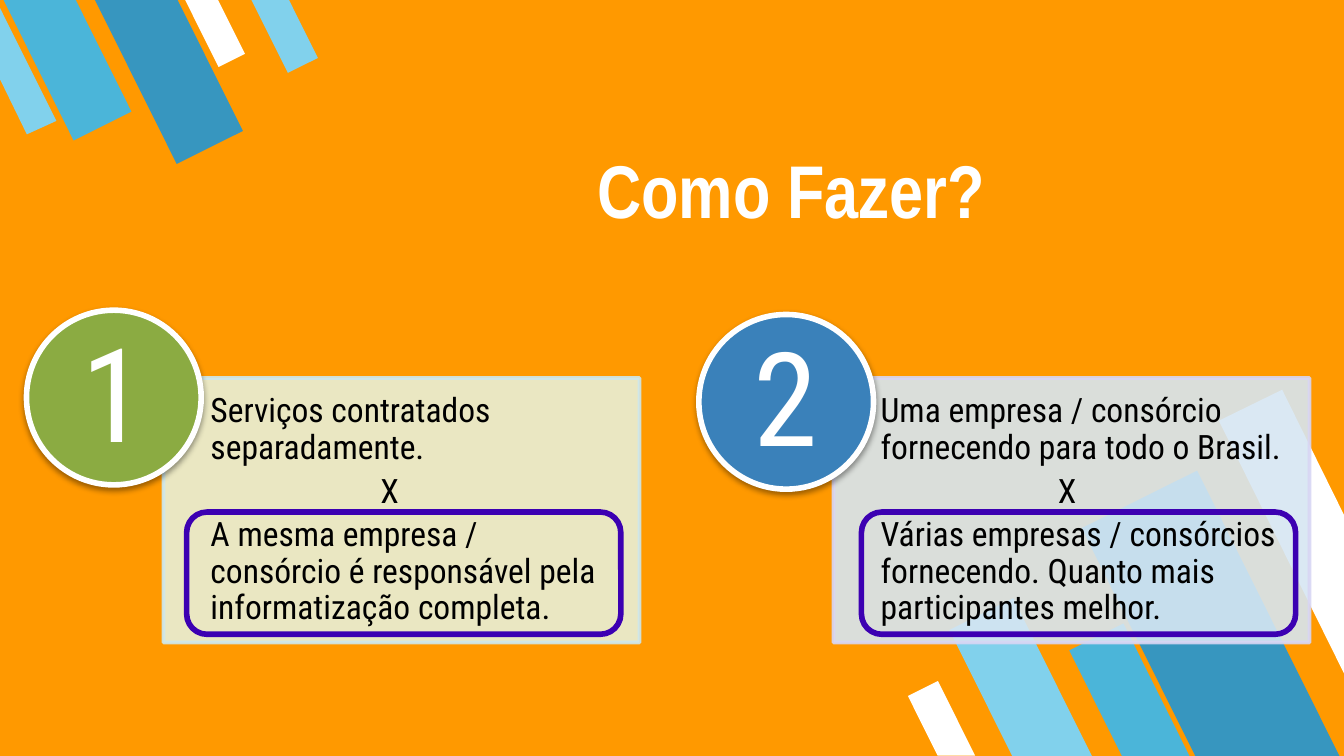
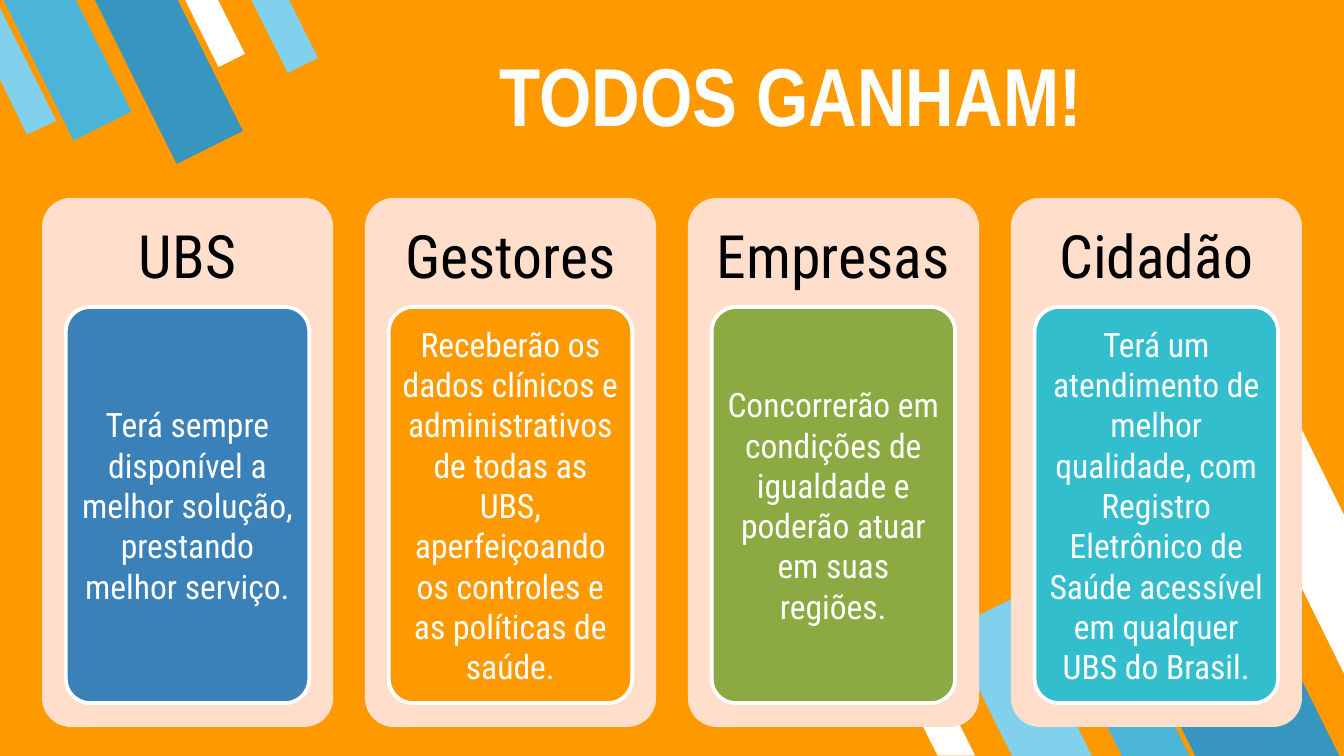
from lxml import etree
from pptx import Presentation
from pptx.dml.color import RGBColor
from pptx.enum.shapes import MSO_SHAPE
from pptx.enum.text import MSO_ANCHOR, MSO_AUTO_SIZE, PP_ALIGN
from pptx.oxml.ns import qn
from pptx.util import Pt

BAR, OVAL = MSO_SHAPE.FLOWCHART_MANUAL_INPUT, MSO_SHAPE.OVAL
RECT, ROUND = MSO_SHAPE.RECTANGLE, MSO_SHAPE.ROUNDED_RECTANGLE
MIDDLE = MSO_ANCHOR.MIDDLE
NO_FIT = MSO_AUTO_SIZE.NONE
LEFT, CENTER = PP_ALIGN.LEFT, PP_ALIGN.CENTER

ORANGE, WHITE, BLACK = "FF9900", "FFFFFF", "000000"
SKY, AZURE, STEEL = "81D1EC", "4BB5D9", "3796BF"
BLUE, GREEN, TEAL = "3A81BA", "8BAB42", "33BECD"
PEACH, VIOLET = "FFDECC", "3C00B2"
TITLE_FONT, BODY_FONT = "Arial Narrow", "Roboto Condensed"


def rgb(value):
    return RGBColor.from_string(value)


class Deck:
    def __init__(self):
        self.prs = Presentation()
        self.prs.slide_width, self.prs.slide_height = Pt(720), Pt(405)
        self.layout = self.prs.slide_layouts.get_by_name("Title Only")
        fill = self.prs.slide_master.background.fill
        fill.solid()
        fill.fore_color.rgb = rgb(ORANGE)
        self.slide = None

    def new_slide(self, title, top, height, size):
        self.slide = self.prs.slides.add_slide(self.layout)
        s = self.slide.shapes.title
        s.left, s.top, s.width, s.height = Pt(127.4), Pt(top), Pt(592.6), Pt(height)
        self.text(s, [title], size, WHITE, CENTER, (7.2,) * 4)
        font = s.text_frame.paragraphs[0].font
        font.name, font.bold = TITLE_FONT, True

    def paint(self, s, fill=None, line=None, weight=0):
        s.shadow.inherit = False
        if fill:
            s.fill.solid()
            s.fill.fore_color.rgb = rgb(fill)
        else:
            s.fill.background()
        if line:
            s.line.color.rgb = rgb(line)
            s.line.width = Pt(weight)
        else:
            s.line.fill.background()
        return s

    def shape(self, kind, box, fill=None, line=None, weight=0, corner=None):
        s = self.slide.shapes.add_shape(kind, *(Pt(v) for v in box))
        if corner:
            s.adjustments[0] = corner
        return self.paint(s, fill, line, weight)

    def polygon(self, points, fill):
        points = [(Pt(x), Pt(y)) for x, y in points]
        fb = self.slide.shapes.build_freeform(*points[0])
        fb.add_line_segments(points[1:], close=True)
        return self.paint(fb.convert_to_shape(), fill)

    def bar(self, box, fill, rotation):
        s = self.shape(BAR, box, fill)
        s.rotation = rotation
        s._element.spPr.find(qn("a:xfrm")).set("flipH", "1")
        return s

    def text(self, s, lines, size, color, align, insets, spacing=None, gap=0):
        tf = s.text_frame
        tf.word_wrap, tf.auto_size, tf.vertical_anchor = True, NO_FIT, MIDDLE
        tf.margin_left, tf.margin_top, tf.margin_right, tf.margin_bottom = map(Pt, insets)
        for i, line in enumerate(lines):
            p = tf.add_paragraph() if i else tf.paragraphs[0]
            p.text = line
            p.alignment, p.line_spacing = align, spacing
            p.space_before = p.space_after = Pt(gap)
            p.font.name, p.font.size = BODY_FONT, Pt(size)
            p.font.color.rgb = rgb(color)

    def indent(self, s, index, distance):
        pPr = s.text_frame.paragraphs[index]._p.get_or_add_pPr()
        pPr.set("marL", str(Pt(distance)))

    def fade(self, s, percent):
        for color in s._element.spPr.iter(qn("a:srgbClr")):
            etree.SubElement(color, qn("a:alpha"), val=str(percent * 1000))

    def drop_shadow(self, s):
        effects = s._element.spPr.find(qn("a:effectLst"))
        shadow = etree.SubElement(effects, qn("a:outerShdw"), blurRad=str(Pt(3.1)),
                                  dist=str(Pt(1.6)), dir="5400000", rotWithShape="0")
        color = etree.SubElement(shadow, qn("a:srgbClr"), val=BLACK)
        etree.SubElement(color, qn("a:alpha"), val="38000")

    def share_stripes(self):
        stripes = [self.bar(box, fill, 153.5) for box, fill in (
            ((527.8, 324, 38.2, 95), SKY),
            ((614.2, 258.5, 69.1, 172), STEEL),
            ((589, 337, 32.4, 80), AZURE),
            ((495.4, 366.5, 18, 44.6), WHITE))]
        stripes.append(self.polygon(
            [(686.9, 208.8), (653, 225.4), (720, 360.7), (720, 275.8)], WHITE))
        stripes += [self.bar(box, fill, 333.5) for box, fill in (
            ((107.3, -5.8, 15.8, 40.3), WHITE),
            ((18.7, -13, 34.6, 85), AZURE),
            ((70.6, -14.4, 39.6, 98.6), STEEL),
            ((143.3, -7.2, 18, 44.6), SKY))]
        stripes.append(self.polygon(
            [(14.4, 72), (30.2, 64.8), (0, 4.3), (0, 42.5)], SKY))
        for s in stripes:
            self.layout.shapes._spTree.append(s._element)

    def option(self, number, lines, panel_left, circle_at, colors, x_indent):
        fill, edge, accent = colors
        panel = self.shape(RECT, (panel_left, 202.5, 255, 141.8), fill, edge, 2)
        self.fade(panel, 90)
        self.text(panel, lines, 18, BLACK, LEFT, (25.2, 2.9, 2.9, 2.9), 0.9, 2)
        self.indent(panel, 1, x_indent)
        circle = self.shape(OVAL, (*circle_at, 93.6, 93.6), accent, WHITE, 3)
        self.drop_shadow(circle)
        self.text(circle, [number], 70, WHITE, CENTER, (0, 2.9, 0, 0), 0.9)

    def card(self, left, heading, body, fill):
        outer = self.shape(ROUND, (left, 106, 156, 283.5), PEACH, corner=0.1)
        self.text(outer, [heading], 32, BLACK, CENTER, (4, 4, 4, 222), 0.9)
        inner = self.shape(ROUND, (left + 12.8, 164.5, 130.4, 212.2), fill, WHITE, 2, 0.1)
        self.text(inner, [body], 18, WHITE, CENTER, (2,) * 4)


def main():
    deck = Deck()

    deck.new_slide("Como Fazer?", 55.4, 91.4, 40)
    deck.share_stripes()
    deck.option("1", ["Serviços contratados separadamente.", "X",
                      "A mesma empresa / \nconsórcio é responsável pela informatização completa."],
                87.6, (14.2, 166.2), ("E8F0D8", "CEE8ED", GREEN), 91)
    deck.option("2", ["Uma empresa / consórcio fornecendo para todo o Brasil.", "X",
                      "Várias empresas / consórcios fornecendo. Quanto mais participantes melhor."],
                446.6, (374.4, 168.5), ("D6E6F2", "D8D6F4", BLUE), 95)
    for left in (100, 461.5):
        deck.shape(ROUND, (left, 274.3, 232.6, 65.5), line=VIOLET, weight=3)

    deck.new_slide("TODOS GANHAM!", 0, 100.8, 44)
    cards = (
        ("UBS", "Terá sempre disponível a melhor solução, prestando melhor serviço.", BLUE),
        ("Gestores", "Receberão os dados clínicos e administrativos de todas as UBS, "
                     "aperfeiçoando os controles e as políticas de saúde.", ORANGE),
        ("Empresas", "Concorrerão em condições de igualdade e poderão atuar em suas regiões.",
         GREEN),
        ("Cidadão", "Terá um atendimento de melhor qualidade, com Registro Eletrônico de "
                    "Saúde acessível em qualquer UBS do Brasil.", TEAL))
    for i, card in enumerate(cards):
        deck.card(22.5 + 173 * i, *card)

    deck.prs.save("out.pptx")


if __name__ == "__main__":
    main()
